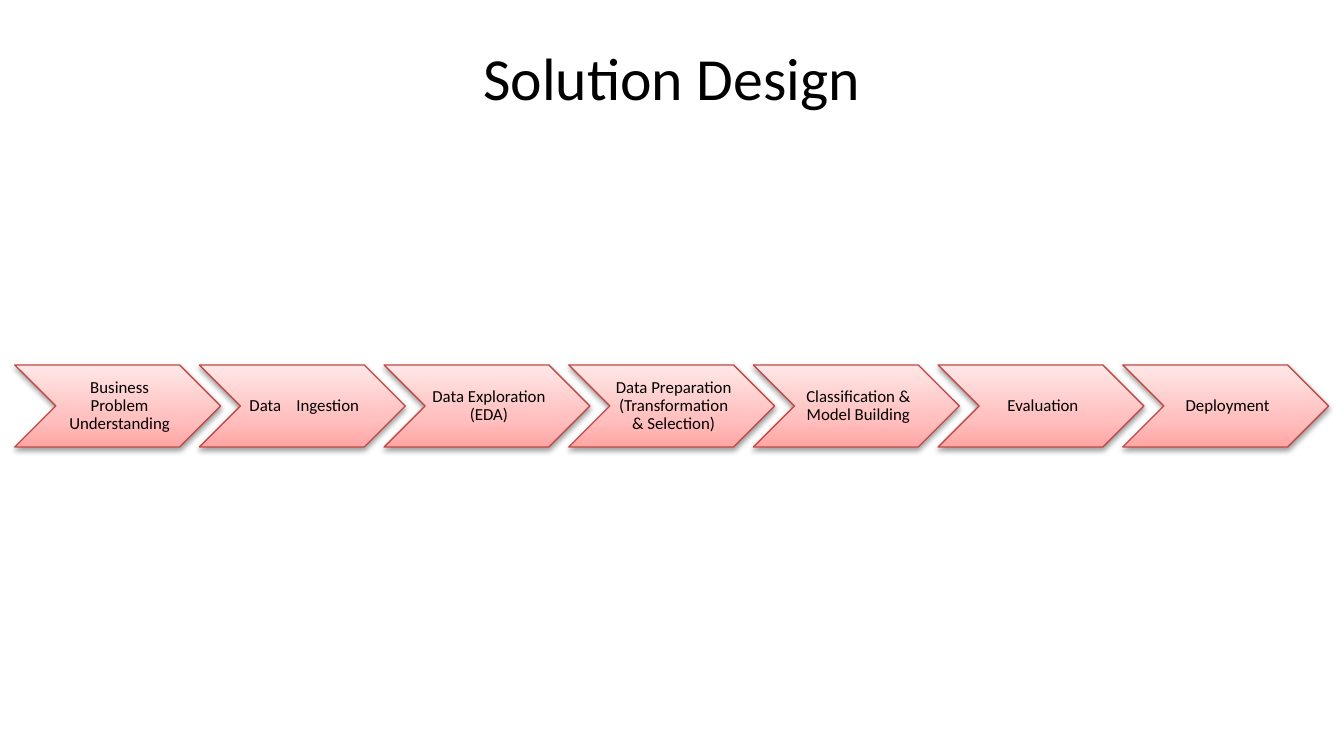
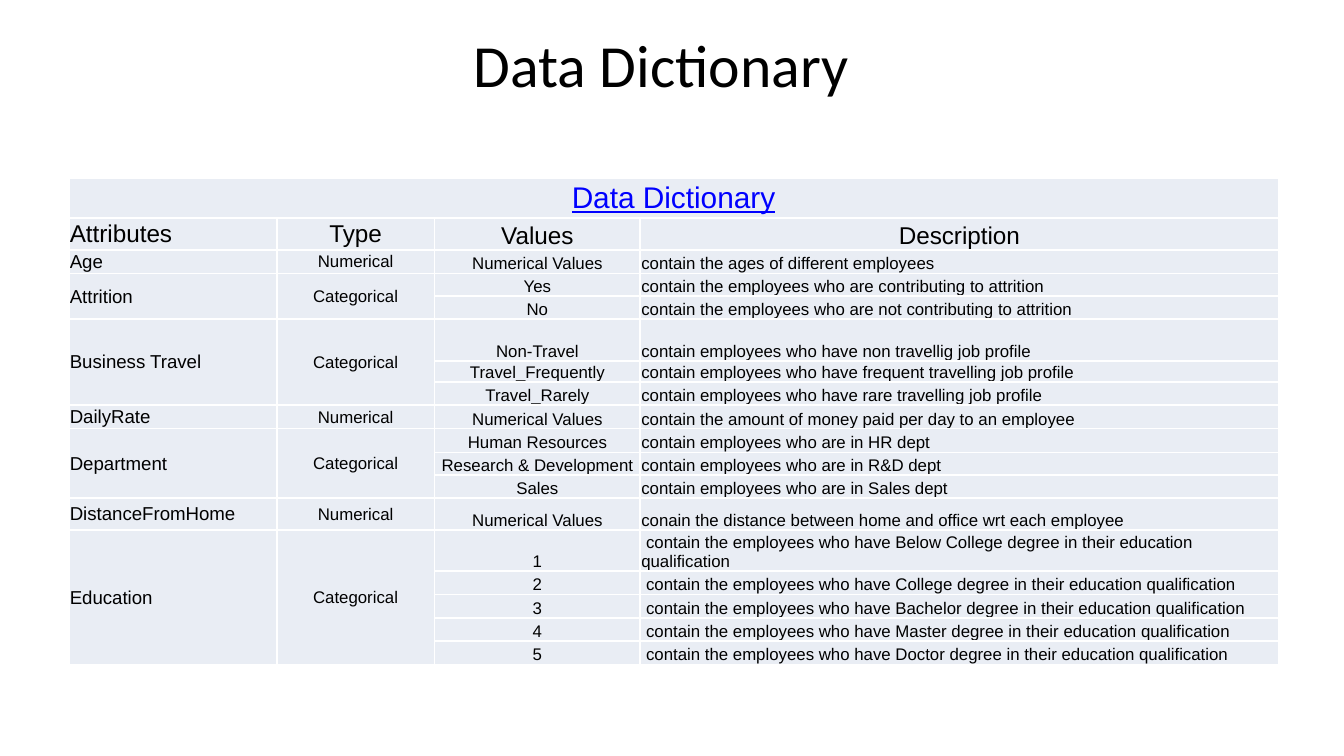
from copy import deepcopy
from dataclasses import dataclass

from lxml import etree
from pptx import Presentation
from pptx import util as u
from pptx.dml.color import RGBColor
from pptx.enum import shapes, text
from pptx.oxml.ns import qn

BLACK = RGBColor(0x00, 0x00, 0x00)
WHITE = RGBColor(0xFF, 0xFF, 0xFF)
LINK_BLUE = RGBColor(0x00, 0x00, 0xFF)
CELL_FILL = RGBColor(0xE9, 0xED, 0xF4)
CHEVRON_LINE = RGBColor(0xBF, 0x4C, 0x48)
CHEVRON_STOPS = (
    (0.0, RGBColor(0xFF, 0xA6, 0xA5)),
    (0.35, RGBColor(0xFF, 0xC0, 0xBF)),
    (1.0, RGBColor(0xFF, 0xE7, 0xE7)),
)

LEFT, CENTER = text.PP_ALIGN.LEFT, text.PP_ALIGN.CENTER
MIDDLE, BOTTOM = text.MSO_ANCHOR.MIDDLE, text.MSO_ANCHOR.BOTTOM

STEPS = (
    "Business Problem Understanding",
    "Data Ingestion",
    "Data Exploration (EDA)",
    "Data Preparation (Transformation & Selection)",
    "Classification & Model Building",
    "Evaluation",
    "Deployment",
)
WIDE_GAP_STEP = "Data Ingestion"
STEP_LEFT, STEP_TOP, STEP_PITCH = 0.28, 6.9, 3.49
STEP_WIDTH, STEP_HEIGHT = 3.89, 1.55
LABEL_OFFSET, LABEL_WIDTH = 0.78, 2.33

COLUMN_WIDTHS = (3.93, 2.98, 3.89, 12.06)
ROW_HEIGHTS = (0.76, 0.6, 0.45, 0.43, 0.43, 0.79, 0.37, 0.43, 0.45,
               0.45, 0.43, 0.43, 0.6, 0.45, 0.44, 0.44, 0.44, 0.44)
DEGREES = ("Below College", "College", "Bachelor", "Master", "Doctor")


@dataclass(frozen=True)
class CellStyle:
    size: float
    align: text.PP_ALIGN
    anchor: text.MSO_ANCHOR
    color: RGBColor = BLACK
    underline: bool = False


@dataclass(frozen=True)
class Attribute:
    name: str
    kind: str
    values: tuple[tuple[str, str], ...]
    first_indent: float = 0


CAPTION = CellStyle(16, CENTER, MIDDLE, LINK_BLUE, True)
HEADINGS = (
    ("Attributes", CellStyle(13, LEFT, MIDDLE)),
    ("Type", CellStyle(13, CENTER, MIDDLE)),
    ("Values", CellStyle(13, CENTER, BOTTOM)),
    ("Description", CellStyle(13, CENTER, BOTTOM)),
)
NAME = CellStyle(10, LEFT, MIDDLE)
KIND = CellStyle(9, CENTER, MIDDLE)
VALUE = CellStyle(9, CENTER, BOTTOM)
DESCRIPTION = CellStyle(9, LEFT, BOTTOM)

ATTRIBUTES = (
    Attribute("Age", "Numerical", (
        ("Numerical Values", "contain the ages of different employees"),)),
    Attribute("Attrition", "Categorical", (
        ("Yes", "contain the employees who are contributing to attrition"),
        ("No", "contain the employees who are not contributing to attrition"))),
    Attribute("Business Travel", "Categorical", (
        ("Non-Travel", "contain employees who have non travellig job profile"),
        ("Travel_Frequently", "contain employees who have frequent travelling job profile"),
        ("Travel_Rarely", "contain employees who have rare travelling job profile"))),
    Attribute("DailyRate", "Numerical", (
        ("Numerical Values", "contain the amount of money paid per day to an employee"),)),
    Attribute("Department", "Categorical", tuple(
        (name, f"contain employees who are in {short} dept") for name, short in (
            ("Human Resources", "HR"), ("Research & Development", "R&D"), ("Sales", "Sales")))),
    Attribute("DistanceFromHome", "Numerical", (
        ("Numerical Values", "conain the distance between home and office wrt each employee"),)),
    Attribute("Education", "Categorical", tuple(
        (str(level), f"contain the employees who have {degree} degree "
                     "in their education qualification")
        for level, degree in enumerate(DEGREES, 1)), first_indent=0.09),
)


def style_span(span, name: str, size: float, color: RGBColor = BLACK) -> None:
    span.font.name = name
    span.font.size = u.Pt(size)
    span.font.color.rgb = color


def add_title(page, words: str, left: float, top: float, width: float, height: float) -> None:
    box = page.shapes.add_textbox(u.Cm(left), u.Cm(top), u.Cm(width), u.Cm(height))
    frame = box.text_frame
    frame.word_wrap = True
    frame.margin_left = frame.margin_right = u.Cm(0.25)
    frame.margin_top = frame.margin_bottom = u.Cm(0.25)
    frame.text = words
    para = frame.paragraphs[0]
    para.alignment = CENTER
    style_span(para.runs[0], "Calibri", 32)


def add_shadow(shape) -> None:
    shape.shadow.inherit = False
    effects = shape.element.spPr.find(qn("a:effectLst"))
    shadow = etree.SubElement(effects, qn("a:outerShdw"), blurRad="40000",
                              dist="20000", dir="5400000", rotWithShape="0")
    color = etree.SubElement(shadow, qn("a:srgbClr"), val=str(BLACK))
    etree.SubElement(color, qn("a:alpha"), val="38000")


def add_chevron(group, left: float) -> None:
    chevron = group.shapes.add_shape(
        shapes.MSO_SHAPE.CHEVRON, u.Cm(left), u.Cm(STEP_TOP),
        u.Cm(STEP_WIDTH), u.Cm(STEP_HEIGHT))
    chevron.fill.gradient()
    chevron.fill.gradient_angle = 90
    stop_list = chevron.element.spPr.find(".//" + qn("a:gsLst"))
    stop_list.append(deepcopy(stop_list[0]))
    for stop, (position, color) in zip(chevron.fill.gradient_stops, CHEVRON_STOPS):
        stop.position = position
        stop.color.rgb = color
    chevron.line.color.rgb = CHEVRON_LINE
    chevron.line.width = u.Pt(0.75)
    add_shadow(chevron)


def add_step_label(group, words: str, left: float) -> None:
    box = group.shapes.add_textbox(u.Cm(left), u.Cm(STEP_TOP),
                                   u.Cm(LABEL_WIDTH), u.Cm(STEP_HEIGHT))
    frame = box.text_frame
    frame.word_wrap = True
    frame.vertical_anchor = MIDDLE
    frame.margin_left = u.Cm(0.1)
    frame.margin_right = frame.margin_top = frame.margin_bottom = u.Cm(0.03)
    para = frame.paragraphs[0]
    para.alignment = CENTER
    para.line_spacing = 0.9
    parts = words.partition(" ") if words == WIDE_GAP_STEP else (words,)
    for part in parts:
        span = para.add_run()
        span.text = part
        style_span(span, "Calibri", 9)
        if part == " ":
            span.font._element.set("spc", "610")


def prepare_cell(cell) -> None:
    """Give a cell its margins, white borders and fill."""
    cell.margin_left = cell.margin_right = cell.margin_top = u.Cm(0.02)
    cell.margin_bottom = 0
    properties = cell._tc.get_or_add_tcPr()
    for side in ("lnL", "lnR", "lnT", "lnB"):
        line = etree.SubElement(properties, qn(f"a:{side}"), w=str(u.Pt(1)))
        fill = etree.SubElement(line, qn("a:solidFill"))
        etree.SubElement(fill, qn("a:srgbClr"), val=str(WHITE))
    cell.fill.solid()
    cell.fill.fore_color.rgb = CELL_FILL


def write_cell(cell, words: str, style: CellStyle, first_indent: float = 0) -> None:
    cell.text = words
    cell.vertical_anchor = style.anchor
    para = cell.text_frame.paragraphs[0]
    para.alignment = style.align
    if first_indent:
        properties = para._p.get_or_add_pPr()
        properties.set("marL", "0")
        properties.set("indent", str(u.Cm(first_indent)))
    span = para.runs[0]
    style_span(span, "Arial", style.size, style.color)
    if style.underline:
        span.font.underline = True


def add_dictionary(page) -> None:
    table = page.shapes.add_table(
        len(ROW_HEIGHTS), len(COLUMN_WIDTHS), u.Cm(1.3), u.Cm(3.36),
        u.Cm(sum(COLUMN_WIDTHS)), u.Cm(sum(ROW_HEIGHTS))).table
    table.first_row = table.horz_banding = False
    for column, width in zip(table.columns, COLUMN_WIDTHS):
        column.width = u.Cm(width)
    for row, height in zip(table.rows, ROW_HEIGHTS):
        row.height = u.Cm(height)
    for cell in table.iter_cells():
        prepare_cell(cell)

    table.cell(0, 0).merge(table.cell(0, len(COLUMN_WIDTHS) - 1))
    write_cell(table.cell(0, 0), "Data Dictionary", CAPTION)
    for column, (words, style) in enumerate(HEADINGS):
        write_cell(table.cell(1, column), words, style)

    top = 2
    for attribute in ATTRIBUTES:
        last = top + len(attribute.values) - 1
        for column, words, style in ((0, attribute.name, NAME), (1, attribute.kind, KIND)):
            if last > top:
                table.cell(top, column).merge(table.cell(last, column))
            write_cell(table.cell(top, column), words, style)
        for row, (value, description) in enumerate(attribute.values, top):
            write_cell(table.cell(row, 2), value, VALUE)
            write_cell(table.cell(row, 3), description, DESCRIPTION, attribute.first_indent)
        top = last + 1


def build_solution_design(page) -> None:
    add_title(page, "Solution Design", 0.86, 0.53, 23.67, 1.6)
    group = page.shapes.add_group_shape()
    for index, step in enumerate(STEPS):
        left = STEP_LEFT + index * STEP_PITCH
        add_chevron(group, left)
        add_step_label(group, step, left + LABEL_OFFSET)


def build_data_dictionary(page) -> None:
    add_title(page, "Data Dictionary", 0.48, 0.28, 24.03, 13.49)
    add_dictionary(page)


def main() -> None:
    deck = Presentation()
    deck.slide_width, deck.slide_height = u.Cm(25.4), u.Cm(14.29)
    blank = deck.slide_layouts[6]
    for build in (build_solution_design, build_data_dictionary):
        build(deck.slides.add_slide(blank))
    deck.save("out.pptx")


if __name__ == "__main__":
    main()
